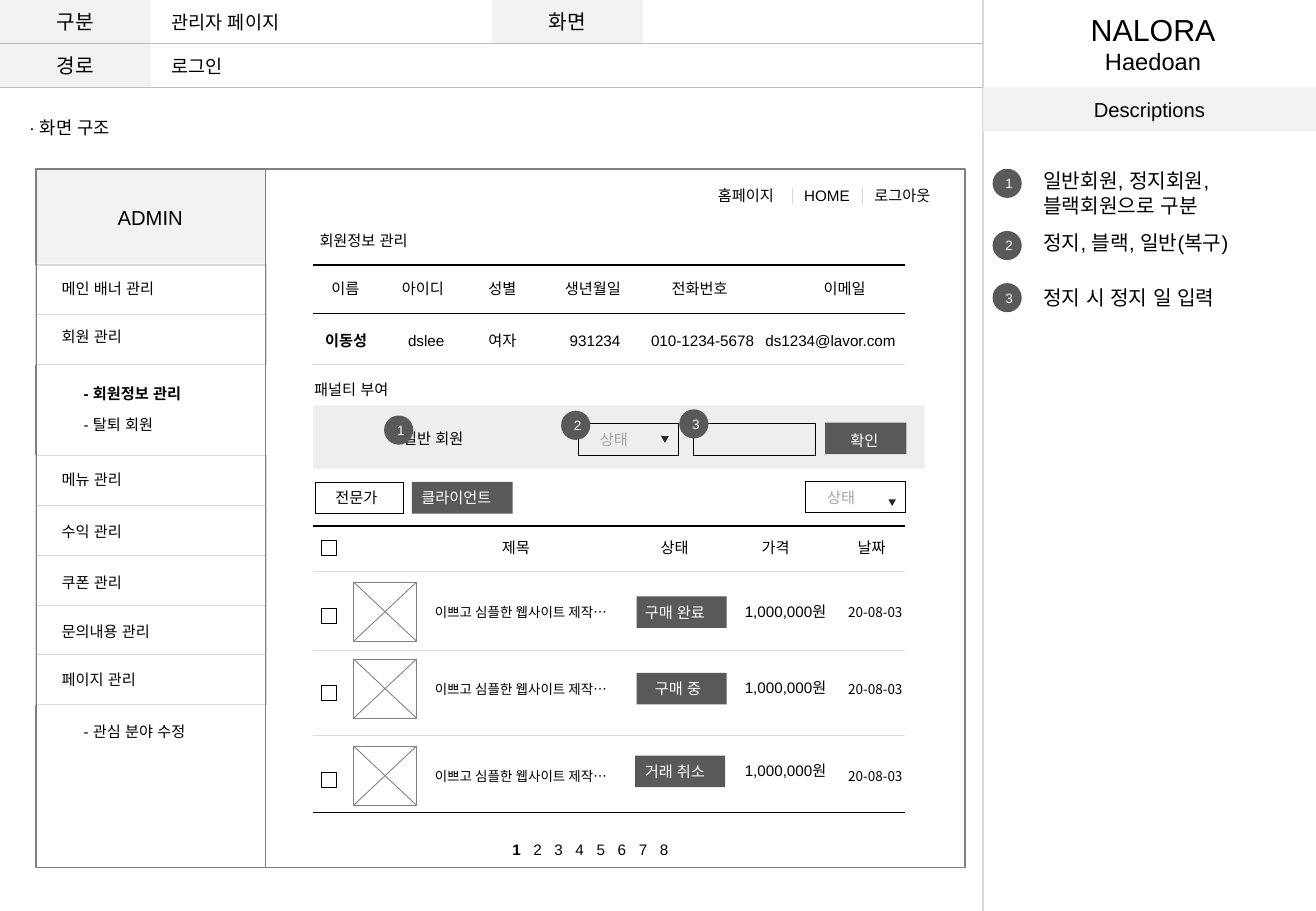
import pptx
import pptx.util
import pptx.dml.color
import pptx.enum.shapes
import pptx.enum.text
import pptx.oxml.ns
import lxml.etree

Cm = pptx.util.Cm
Pt = pptx.util.Pt
SHAPE = pptx.enum.shapes.MSO_SHAPE
ALIGN = pptx.enum.text.PP_ALIGN
qn = pptx.oxml.ns.qn

BLACK, WHITE, DARK, FRAME = "000000", "FFFFFF", "595959", "808080"
PALE, RULE, HAIRLINE, MUTED = "F2F2F2", "D9D9D9", "DDDDDD", "A6A6A6"
LIST_LEFT, LIST_RIGHT = 6.55, 18.92


def color(hex_string):
    return pptx.dml.color.RGBColor.from_string(hex_string)


class Wireframe:
    """Holds the style and the current slide."""

    font = "Arial"
    size = 9

    def __init__(self, slide):
        self.slide = slide

    def style(self, paragraph, size, ink, bold=False, font=None):
        for run in paragraph.runs:
            run.font.name = font or self.font
            run.font.size = Pt(size)
            run.font.bold = bold
            run.font.color.rgb = color(ink)
            east_asian = lxml.etree.Element(qn("a:ea"), typeface=font or self.font)
            run.font._element.find(qn("a:latin")).addnext(east_asian)

    def box(self, x, y, w, h, fill=None, line=None, weight=0.25,
            kind=SHAPE.RECTANGLE, label="", size=12, ink=BLACK, parent=None):
        shape = (parent or self.slide).shapes.add_shape(kind, Cm(x), Cm(y), Cm(w), Cm(h))
        shape.shadow.inherit = False
        if fill:
            shape.fill.solid()
            shape.fill.fore_color.rgb = color(fill)
        else:
            shape.fill.background()
        if line:
            shape.line.color.rgb = color(line)
            shape.line.width = Pt(weight)
        else:
            shape.line.fill.background()
        if label:
            shape.text_frame.text = label
            paragraph = shape.text_frame.paragraphs[0]
            paragraph.alignment = ALIGN.CENTER
            self.style(paragraph, size, ink)
        return shape

    def line(self, x1, y1, x2, y2, ink, weight=0.75, parent=None):
        rule = (parent or self.slide).shapes.add_connector(
            pptx.enum.shapes.MSO_CONNECTOR.STRAIGHT, Cm(x1), Cm(y1), Cm(x2), Cm(y2))
        rule.line.color.rgb = color(ink)
        rule.line.width = Pt(weight)
        lxml.etree.SubElement(rule._element.spPr, qn("a:effectLst"))

    def text(self, x, y, w, words, h=0.64, size=None, ink=BLACK, bold=False,
             font=None, wrap=False, grow=True):
        frame = self.slide.shapes.add_textbox(Cm(x), Cm(y), Cm(w), Cm(h)).text_frame
        frame.word_wrap = wrap
        if grow:
            frame.auto_size = pptx.enum.text.MSO_AUTO_SIZE.SHAPE_TO_FIT_TEXT
        frame.text = words
        for paragraph in frame.paragraphs:
            self.style(paragraph, size or self.size, ink, bold, font)
        return frame

    def badge(self, x, y, number):
        self.box(x, y, 0.61, 0.61, DARK, kind=SHAPE.OVAL, label=str(number), size=8, ink=WHITE)

    def button(self, x, y, w, words, text_x, text_y, text_w=2.21):
        self.box(x, y, w, 0.66, DARK)
        self.text(text_x, text_y, text_w, words, ink=WHITE, wrap=True)

    def dropdown(self, x, y, arrow_drop):
        self.box(x, y, 2.08, 0.66, line=BLACK)
        arrow = self.box(x + 1.73, y + arrow_drop, 0.16, 0.14, "262626",
                         kind=SHAPE.ISOSCELES_TRIANGLE)
        arrow.rotation = 180
        self.text(x + 0.2, y + 0.02, 1.14, "상태", ink=MUTED)

    def thumbnail(self, x, y, w=1.32, h=1.24):
        group = self.slide.shapes.add_group_shape()
        self.box(x, y, w, h, line=FRAME, weight=0.5, parent=group)
        self.line(x, y + h, x + w, y, FRAME, 0.5, group)
        self.line(x + w, y + h, x, y, FRAME, 0.5, group)

    def checkbox(self, y):
        self.box(6.71, y, 0.32, 0.32, line=BLACK)


def draw_header(page):
    for x, y, label in ((0, 0, "구분"), (10.29, 0, "화면"), (0, 0.91, "경로")):
        page.box(x, y, 3.15, 0.91, PALE, label=label)
    page.line(20.55, 0, 20.55, 19.05, RULE)
    page.box(20.55, 1.83, 6.96, 0.91, PALE, label="Descriptions")
    for y in (0.91, 1.83):
        page.line(0, y, 20.55, y, "BFBFBF")
    page.text(3.33, 0.1, 2.97, "관리자 페이지", h=0.74, size=11)
    page.text(3.33, 1.02, 1.68, "로그인", h=0.74, size=11)
    page.text(0.36, 2.31, 2.41, "· 화면 구조", h=0.74, size=10.5)
    title = page.text(22.43, 0.1, 3.35, "NALORA\nHaedoan", h=1.63, size=18)
    title.paragraphs[1].runs[0].font.size = Pt(14)
    for paragraph in title.paragraphs:
        paragraph.alignment = ALIGN.CENTER


def draw_sidebar(page):
    page.box(0.74, 3.53, 4.83, 1.98, PALE)
    page.box(0.76, 3.53, 19.41, 14.61, line=FRAME, weight=1)
    page.line(0.76, 5.54, 5.59, 5.54, RULE)
    page.text(2.21, 4.17, 1.88, "ADMIN", h=0.76, size=12)
    for first, count in ((5.54, 2), (9.53, 5)):
        for row in range(count):
            page.box(0.74, first + 1.04 * row, 4.83, 1.04, line=RULE)
    page.box(0.76, 3.53, 4.8, 14.61, line=FRAME, weight=0.5)
    for y, w, menu in ((5.72, 2.62, "메인 배너 관리"), (6.73, 1.88, "회원 관리"),
                       (9.7, 1.88, "메뉴 관리"), (10.8, 1.88, "수익 관리"),
                       (11.86, 1.88, "쿠폰 관리"), (12.88, 2.51, "문의내용 관리"),
                       (13.89, 2.21, "페이지 관리")):
        page.text(1.04, y, w, menu)
    page.text(1.5, 7.92, 2.82, "- 회원정보 관리", bold=True)
    page.text(1.5, 8.56, 2.08, "- 탈퇴 회원")
    page.text(1.5, 14.99, 2.82, "- 관심 분야 수정")


def draw_members(page):
    # Top navigation
    for x, w, link in ((14.76, 1.8, "홈페이지"), (16.56, 1.47, "HOME"), (18.03, 1.8, "로그아웃")):
        page.text(x, 3.78, w, link)
    for x in (16.56, 18.03):
        page.line(x, 3.94, x, 4.27, RULE)
    # Member details
    page.text(6.43, 4.72, 2.51, "회원정보 관리")
    for y, ink in ((5.54, BLACK), (6.55, BLACK), (7.62, RULE)):
        page.line(LIST_LEFT, y, LIST_RIGHT, y, ink)
    for x, w, heading in ((6.68, 1.14, "이름"), (8.15, 1.47, "아이디"), (9.96, 1.14, "성별"),
                          (11.56, 1.8, "생년월일"), (13.79, 1.8, "전화번호"), (16.97, 1.47, "이메일")):
        page.text(x, 5.72, w, heading)
    for x, w, value in ((6.55, 1.47, "이동성"), (8.28, 1.27, "dslee"), (9.96, 1.14, "여자"),
                        (11.66, 1.57, "931234"), (13.36, 2.69, "010-1234-5678"),
                        (15.75, 3.6, "ds1234@lavor.com")):
        page.text(x, 6.81, w, value, bold=value == "이동성")
    # Penalty bar
    page.text(6.32, 7.82, 2.21, "패널티 부여", wrap=True)
    page.box(6.55, 8.48, 12.78, 1.32, "EEEEEE")
    page.text(8.18, 8.86, 2.21, "일반 회원", wrap=True)
    page.dropdown(12.09, 8.86, 0.26)
    page.box(14.5, 8.86, 2.54, 0.66, line=BLACK)
    page.button(17.25, 8.84, 1.7, "확인", 17.53, 8.89, 1.83)


def draw_orders(page):
    # Filters
    page.box(6.58, 10.08, 1.85, 0.66, line=BLACK)
    page.text(6.76, 10.08, 2.11, "전문가", wrap=True)
    page.button(8.61, 10.08, 2.11, "클라이언트", 8.56, 10.08)
    page.dropdown(16.84, 10.06, 0.38)
    # List rules and headings
    for y in (11, 16.99):
        page.line(LIST_LEFT, y, LIST_RIGHT, y, BLACK)
    for y in (11.94, 13.61, 15.37):
        page.line(LIST_LEFT, y, LIST_RIGHT, y, HAIRLINE, 0.5)
    page.checkbox(11.3)
    for x, heading in ((10.24, "제목"), (13.56, "상태"), (15.67, "가격"), (17.68, "날짜")):
        page.text(x, 11.13, 1.14, heading)
    # Orders
    for top, status, status_x, status_y, inset in (
            (12.17, "구매 완료", 13.31, 12.47, -0.08), (13.78, "구매 중", 13.31, 14.07, 0.13),
            (15.6, "거래 취소", 13.28, 15.8, -0.05)):
        page.checkbox(top + 0.54)
        page.thumbnail(7.39, top)
        for x, words in ((8.84, "이쁘고 심플한 웹사이트 제작…"), (17.48, "20-08-03")):
            page.text(x, top + 0.33, 4.45, words, h=1.07, size=8,
                      font="Noto Sans CJK KR", wrap=True, grow=False)
        page.button(status_x, status_y, 1.88, status, status_x + inset, status_y + 0.02)
        page.text(15.32, status_y, 2.72, "1,000,000원", wrap=True)
    # Page numbers, spread by letter spacing
    numbers = page.text(10.46, 17.45, 3.81, "1 2 3 4 5 6 7 8").paragraphs[0]
    current = numbers.runs[0]
    current.font._element.set("spc", "250")
    current.text = "1"
    others = numbers.add_run()
    others.text = " 2 3 4 5 6 7 8"
    page.style(numbers, page.size, BLACK)
    others.font._element.set("spc", "250")
    current.font.bold = True


def draw_descriptions(page):
    for number, (y, text_y, w, h, words) in enumerate((
            (3.53, 3.4, 4.29, 1.27, "일반회원, 정지회원,\n블랙회원으로 구분"),
            (4.83, 4.7, 4.7, 0.76, "정지, 블랙, 일반(복구)"),
            (5.92, 5.84, 4.42, 0.76, "정지 시 정지 일 입력")), 1):
        page.badge(20.75, y, number)
        page.text(21.56, text_y, w, words, h=h, size=12, wrap=number == 2)
    for number, (x, y) in enumerate(((8.03, 8.69), (11.73, 8.59), (14.2, 8.56)), 1):
        page.badge(x, y, number)


def main():
    deck = pptx.Presentation()
    deck.slide_width, deck.slide_height = Cm(27.51), Cm(19.05)
    page = Wireframe(deck.slides.add_slide(deck.slide_layouts[6]))
    for draw in (draw_header, draw_sidebar, draw_members, draw_orders, draw_descriptions):
        draw(page)
    deck.save("out.pptx")


if __name__ == "__main__":
    main()
